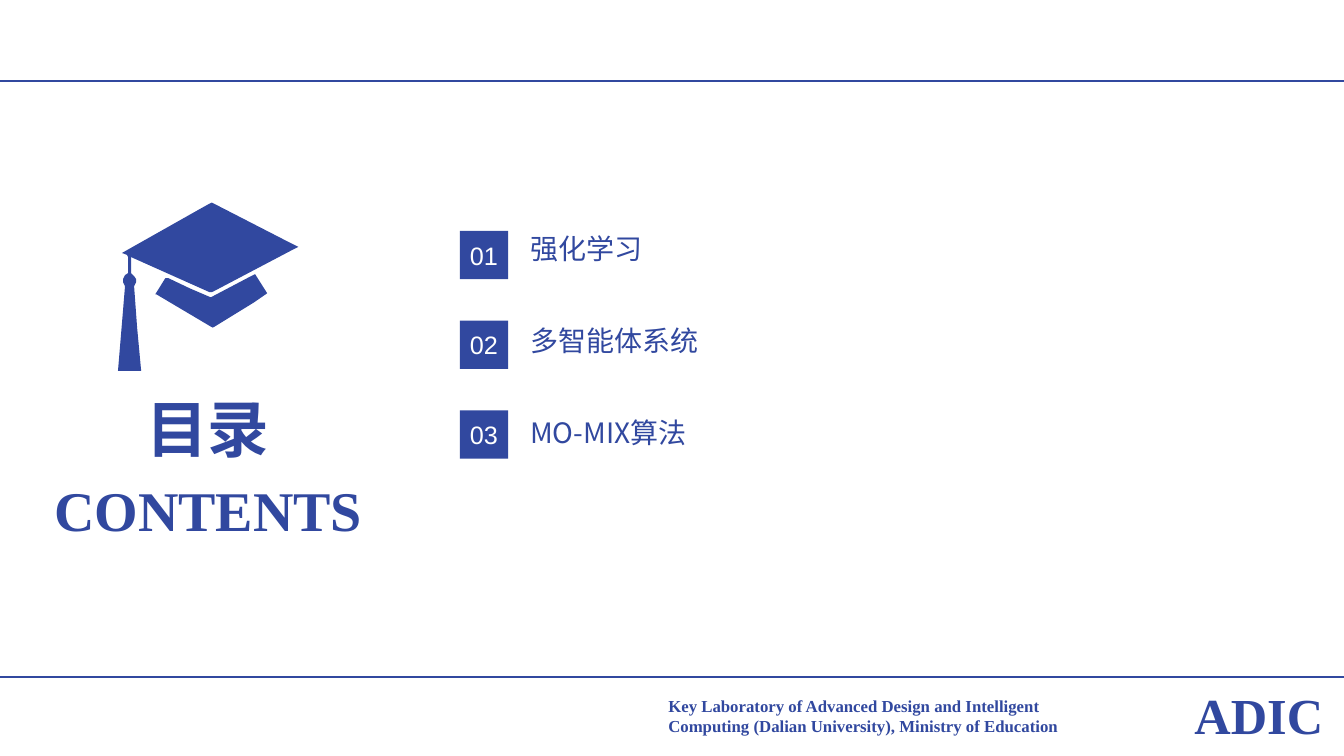
from lxml.etree import SubElement
from pptx import Presentation
from pptx.dml.color import RGBColor
from pptx.enum.shapes import MSO_CONNECTOR as Connector, MSO_SHAPE as Shape
from pptx.enum.text import MSO_ANCHOR as Anchor, MSO_AUTO_SIZE as AutoSize, PP_ALIGN as Align
from pptx.oxml.ns import qn
from pptx.util import Inches, Pt

NAVY = RGBColor(0x31, 0x48, 0x9F)
WHITE = RGBColor(0xFF, 0xFF, 0xFF)
SERIF, SANS, CJK = "Times New Roman", "Arial", "Noto Sans CJK SC"

BOARD_AND_TASSEL = [
    (130, 255), (130, 271), (133, 274), (135, 277), (135, 280), (133, 284),
    (136, 325), (140, 368), (117, 368), (122, 308), (124, 284), (122, 280),
    (122, 277), (124, 273), (127, 271), (127, 255), (126, 253), (121, 251),
    (199, 207), (208, 202), (210, 201), (212, 202), (282, 238), (296, 245),
    (288, 249), (212, 289), (210, 290), (208, 290), (132, 256),
]
CAP_BASE = [
    (154, 292), (164, 276), (167, 276), (188, 286), (209, 295), (211, 294),
    (249, 274), (253, 272), (265, 291), (252, 300), (213, 324), (211, 325),
    (209, 324), (155, 292),
]


class ContentsSlide:
    def __init__(self, deck):
        self.slide = deck.slides.add_slide(deck.slide_layouts[5])
        self.shapes = self.slide.shapes
        self.color = NAVY

    def place(self, shape, box):
        for name, value in zip(("left", "top", "width", "height"), box):
            setattr(shape, name, Inches(value))

    def fill_lines(self, frame, lines, align, color, font):
        for index, line in enumerate(lines):
            paragraph = frame.paragraphs[0] if index == 0 else frame.add_paragraph()
            paragraph.alignment = align
            run = paragraph.add_run()
            run.text = line
            for name, value in font.items():
                setattr(run.font, name, value)
            run.font.color.rgb = color
            east_asian = SubElement(run.font._element, qn("a:ea"))
            east_asian.set("typeface", font["name"])

    def title(self, text, box, font):
        heading = self.shapes.title
        self.place(heading, box)
        frame = heading.text_frame
        frame.auto_size = AutoSize.NONE
        frame.vertical_anchor = Anchor.TOP
        self.fill_lines(frame, [text], Align.LEFT, self.color, font)

    def text(self, lines, box, font, align=Align.LEFT, wrap=True):
        frame = self.shapes.add_textbox(*map(Inches, box)).text_frame
        frame.word_wrap = wrap
        frame.auto_size = AutoSize.SHAPE_TO_FIT_TEXT
        self.fill_lines(frame, lines, align, self.color, font)

    def paint(self, shape):
        shape.shadow.inherit = False
        shape.fill.solid()
        shape.fill.fore_color.rgb = self.color
        shape.line.fill.background()

    def badge(self, label, box, font):
        square = self.shapes.add_shape(Shape.RECTANGLE, *map(Inches, box))
        self.paint(square)
        square.text_frame.word_wrap = False
        square.text_frame.vertical_anchor = Anchor.MIDDLE
        self.fill_lines(square.text_frame, [label], Align.CENTER, WHITE, font)

    def rule(self, y):
        line = self.shapes.add_connector(
            Connector.STRAIGHT, Inches(0), Inches(y), Inches(13.33), Inches(y))
        line.line.color.rgb = self.color
        line.line.width = Pt(1.5)
        SubElement(line._element.spPr, qn("a:effectLst"))

    def icon(self, outlines):
        parts = []
        for start, *rest in outlines:
            builder = self.shapes.build_freeform(*start, scale=Inches(0.01))
            builder.add_line_segments(rest, close=True)
            part = builder.convert_to_shape()
            self.paint(part)
            parts.append(part)
        self.shapes.add_group_shape(parts)


def main():
    deck = Presentation()
    deck.slide_width, deck.slide_height = Inches(13.33), Inches(7.5)
    contents = ContentsSlide(deck)

    for y in (0.8, 6.72):
        contents.rule(y)
    contents.text(
        ["Key Laboratory of Advanced Design and Intelligent",
         "Computing (Dalian University), Ministry of Education"],
        (6.53, 6.85, 5.13, 0.5),
        {"name": SERIF, "size": Pt(12), "bold": True}, Align.JUSTIFY)
    contents.text(["ADIC"], (11.68, 6.74, 1.61, 0.71),
                  {"name": SERIF, "size": Pt(36), "bold": True}, Align.CENTER)

    contents.icon([BOARD_AND_TASSEL, CAP_BASE])
    contents.title("目录", (1.35, 3.83, 1.54, 0.84),
                   {"name": CJK, "size": Pt(44), "bold": True})
    contents.text(["CONTENTS"], (0.44, 4.67, 3.28, 0.77),
                  {"name": SERIF, "size": Pt(40), "bold": True})

    topics = [("强化学习", 1.32), ("多智能体系统", 1.88), ("MO-MIX算法", 1.92)]
    for index, (topic, width) in enumerate(topics):
        contents.text([topic], (5.16, 2.25 + 0.91 * index, width, 0.44),
                      {"name": CJK, "size": Pt(20)}, wrap=False)
        contents.badge(f"{index + 1:02}", (4.56, 2.29 + 0.89 * index, 0.48, 0.48),
                       {"name": SANS, "size": Pt(18)})

    deck.save("out.pptx")


if __name__ == "__main__":
    main()
